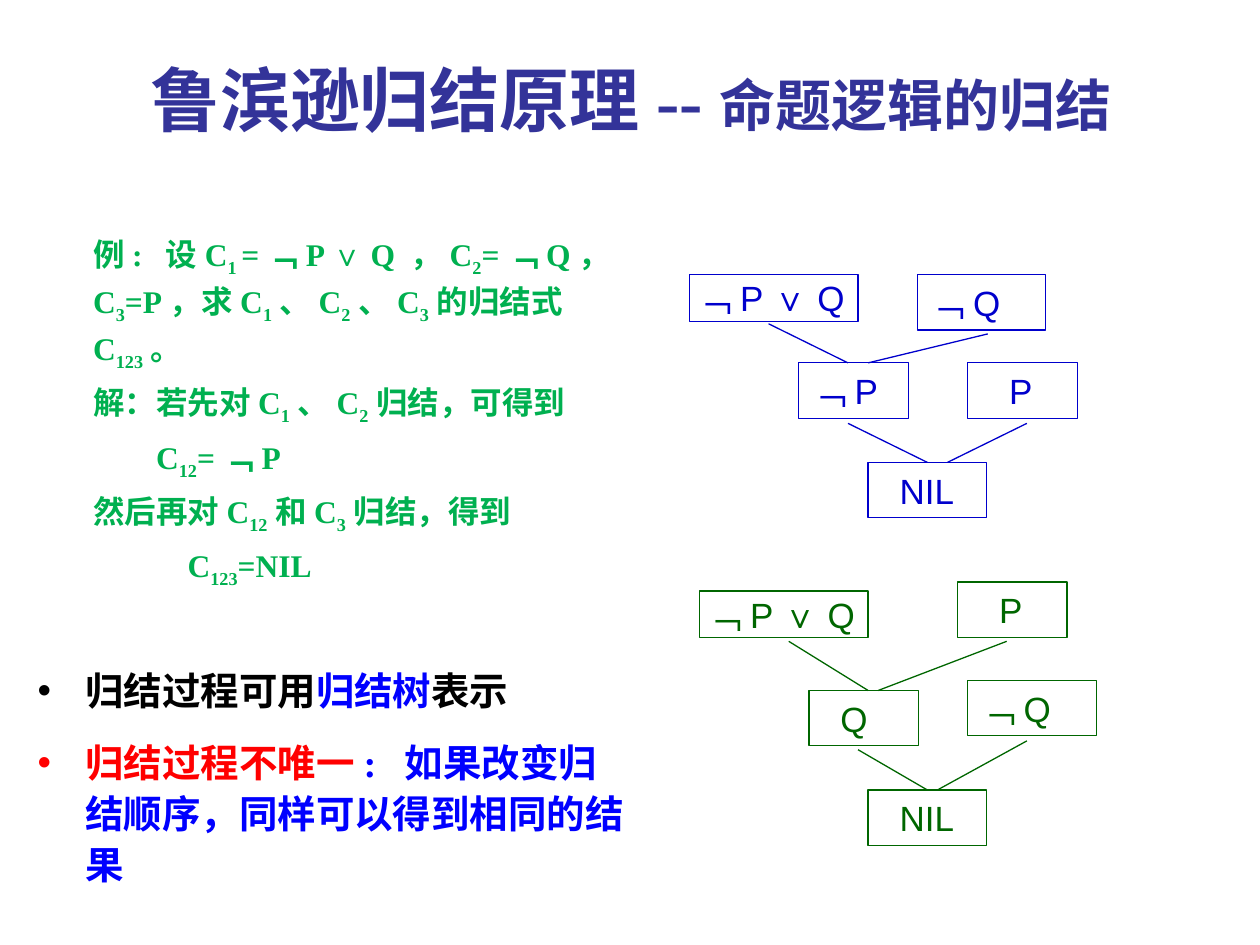
from lxml import etree
from pptx import Presentation
from pptx.dml.color import RGBColor
from pptx.enum.shapes import MSO_CONNECTOR, MSO_SHAPE
from pptx.enum.text import MSO_ANCHOR, PP_ALIGN
from pptx.oxml.ns import qn
from pptx.util import Inches, Pt

RECTANGLE = MSO_SHAPE.RECTANGLE
STRAIGHT = MSO_CONNECTOR.STRAIGHT
MIDDLE = MSO_ANCHOR.MIDDLE
CENTER, LEFT = PP_ALIGN.CENTER, PP_ALIGN.LEFT

SERIF, SANS, CHINESE = "Times New Roman", "Arial", "Noto Sans CJK SC"
BLACK, BLUE, RED = "000000", "0000FF", "FF0000"
INDIGO, GREEN = "333399", "00B050"
TREE_BLUE, TREE_GREEN = "0000CC", "006600"
LINE_SPACING = 1.1

# Text between bars is subscript; the number is the indent in inches
EXAMPLE = [
    ("例:  设C|1 |=﹁P ∨ Q ，C|2|=﹁Q，C|3|=P，求C|1|、C|2|、C|3|的归结式C|123|。", 0.44),
    ("解：若先对C|1|、C|2|归结，可得到", 0.44),
    ("C|12|=﹁P", 0.94),
    ("然后再对C|12|和C|3|归结，得到", 0.44),
    ("C|123|=NIL", 1.19),
]
# Runs of each bullet, and the space before it
REMARKS = [
    ([("归结过程可用", BLACK), ("归结树", BLUE), ("表示", BLACK)], 42),
    ([("归结过程不唯一", RED), (":  如果改变归结顺序，同样可以得到相同的结果", BLUE)], 12),
]

# Clause kinds: text pieces, width, height, left inset
CLAUSES = {
    "¬P∨Q": (["﹁", "P ", "∨", " Q"], 1.34, 0.37, 0.06),
    "¬Q": (["﹁", "Q"], 1.02, 0.44, 0.1),
    "¬P": (["﹁", "P"], 0.87, 0.44, 0.1),
    "P": (["P"], 0.87, 0.44, 0.33),
    "Q": (["Q"], 0.87, 0.44, 0.25),
    "NIL": (["NIL"], 0.94, 0.44, 0.25),
}
# Places are relative to the top left of each tree; the last clause is the root.
# An edge that ends in None is joined to the root.
FIRST_TREE = (
    [("¬P∨Q", 0, 0), ("¬Q", 1.81, 0), ("¬P", 0.87, 0.7), ("P", 2.21, 0.7),
     ("NIL", 1.42, 1.49)],
    [((0.63, 0.39), (1.26, 0.7)), ((2.37, 0.47), (1.42, 0.7)),
     ((1.26, 1.18), None), ((2.68, 1.18), (2.05, 1.49))],
)
SECOND_TREE = (
    [("¬P∨Q", 0, 0.07), ("P", 2.05, 0), ("Q", 0.87, 0.86), ("¬Q", 2.13, 0.78),
     ("NIL", 1.34, 1.65)],
    [((0.71, 0.47), (1.34, 0.86)), ((2.44, 0.47), (1.42, 0.86)),
     ((1.26, 1.33), None), ((2.6, 1.26), (1.89, 1.65))],
)


def color(value):
    return RGBColor.from_string(value)


def add_run(paragraph, text, size, value, font=SERIF, bold=True, subscript=False):
    run = paragraph.add_run()
    run.text = text
    run.font.size = Pt(size)
    run.font.name = font
    run.font.bold = bold
    run.font.color.rgb = color(value)
    properties = run.font._element
    etree.SubElement(properties, qn("a:ea")).set("typeface", CHINESE)
    if subscript:
        properties.set("baseline", "-25000")


def set_indent(paragraph, left, first=0):
    properties = paragraph._p.get_or_add_pPr()
    properties.set("marL", str(Inches(left)))
    properties.set("indent", str(Inches(first)))
    return properties


def add_title(slide, left, top, width, height):
    title = slide.shapes.title
    title.left, title.top = Inches(left), Inches(top)
    title.width, title.height = Inches(width), Inches(height)
    frame = title.text_frame
    frame.vertical_anchor = MIDDLE
    paragraph = frame.paragraphs[0]
    paragraph.alignment = CENTER
    add_run(paragraph, "鲁滨逊归结原理--", 40, INDIGO)
    add_run(paragraph, "命题逻辑的归结", 32, INDIGO)


def add_body(slide, left, top, width, height):
    box = slide.shapes.add_textbox(Inches(left), Inches(top), Inches(width), Inches(height))
    frame = box.text_frame
    frame.word_wrap = True

    # Worked example
    for index, (text, indent) in enumerate(EXAMPLE):
        paragraph = frame.add_paragraph() if index else frame.paragraphs[0]
        set_indent(paragraph, indent)
        paragraph.line_spacing = LINE_SPACING
        if index:
            paragraph.space_before = Pt(4)
        for position, piece in enumerate(text.split("|")):
            add_run(paragraph, piece, 18, GREEN, subscript=position % 2 == 1)

    # Bulleted remarks
    for runs, space in REMARKS:
        paragraph = frame.add_paragraph()
        properties = set_indent(paragraph, 0.38, -0.38)
        etree.SubElement(properties, qn("a:buFont")).set("typeface", SANS)
        etree.SubElement(properties, qn("a:buChar")).set("char", "•")
        paragraph.line_spacing = LINE_SPACING
        paragraph.space_before = Pt(space)
        for text, value in runs:
            add_run(paragraph, text, 22, value)


def add_clause(slide, name, left, top, value):
    pieces, width, height, inset = CLAUSES[name]
    shape = slide.shapes.add_shape(
        RECTANGLE, Inches(left), Inches(top), Inches(width), Inches(height))
    shape.shadow.inherit = False
    shape.fill.background()
    shape.line.color.rgb = color(value)
    shape.line.width = Pt(0.75)
    frame = shape.text_frame
    frame.word_wrap = True
    frame.vertical_anchor = MIDDLE
    frame.margin_left, frame.margin_right = Inches(inset), Inches(0.06)
    frame.margin_top = frame.margin_bottom = Inches(0.01)
    paragraph = frame.paragraphs[0]
    paragraph.alignment = LEFT
    for piece in pieces:
        font = CHINESE if piece == "﹁" else SANS
        add_run(paragraph, piece, 20, value, font, bold=piece == "∨")
    return shape


def add_tree(slide, left, top, tree, value):
    clauses, edges = tree
    for name, x, y in clauses:
        root = add_clause(slide, name, left + x, top + y, value)
    for start, end in edges:
        end_x, end_y = end or start
        edge = slide.shapes.add_connector(
            STRAIGHT, Inches(left + start[0]), Inches(top + start[1]),
            Inches(left + end_x), Inches(top + end_y))
        if end is None:
            edge.end_connect(root, 0)
        edge.line.color.rgb = color(value)
        edge.line.width = Pt(0.75)
        etree.SubElement(edge._element.spPr, qn("a:effectLst"))


def main():
    presentation = Presentation()
    presentation.slide_width, presentation.slide_height = Inches(10), Inches(7.5)
    slide = presentation.slides.add_slide(presentation.slide_layouts[5])
    add_title(slide, 0.51, 0.29, 9, 0.99)
    add_body(slide, 0.2, 1.78, 4.92, 5.31)
    add_tree(slide, 5.47, 2.18, FIRST_TREE, TREE_BLUE)
    add_tree(slide, 5.55, 4.62, SECOND_TREE, TREE_GREEN)
    presentation.save("out.pptx")


if __name__ == "__main__":
    main()
